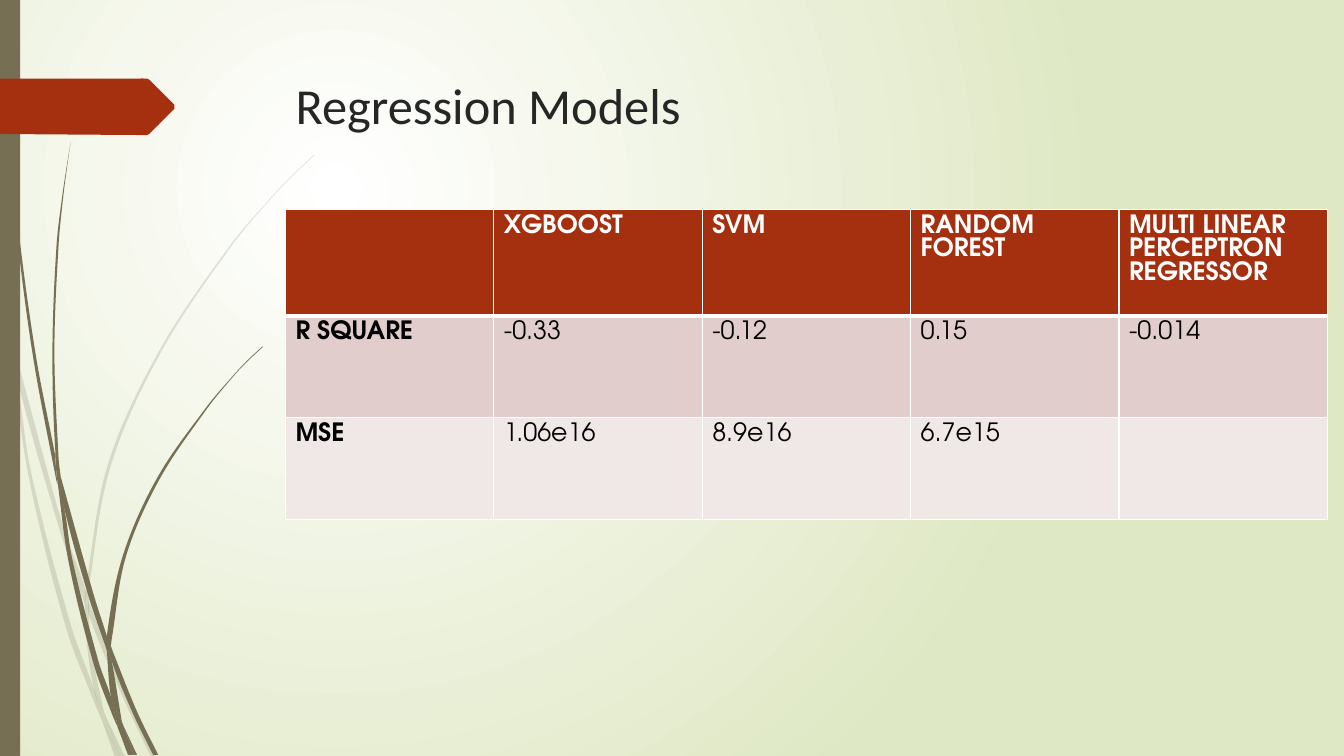
from math import dist
from lxml.etree import SubElement
from pptx import Presentation
from pptx.dml.color import RGBColor
from pptx.enum.shapes import MSO_SHAPE as Preset
from pptx.enum.text import MSO_ANCHOR as Anchor, PP_ALIGN as Align
from pptx.oxml.ns import qn
from pptx.util import Pt

# Content
TITLE = "Regression Models"
ROWS = [
    ("", "XGBOOST", "SVM", "RANDOM FOREST", "MULTI LINEAR PERCEPTRON REGRESSOR"),
    ("R SQUARE", "-0.33", "-0.12", "0.15", "-0.014"),
    ("MSE", "1.06e16", "8.9e16", "6.7e15", ""),
]

# Colours and fonts
WHITE = RGBColor(0xFF, 0xFF, 0xFF)
BLACK = RGBColor(0, 0, 0)
INK = RGBColor(0x26, 0x26, 0x26)
RUST = RGBColor(0xA5, 0x30, 0x10)
OLIVE = RGBColor(0x76, 0x6F, 0x54)
PALE_GREEN = RGBColor(0xDF, 0xE8, 0xC4)
ROW_FILLS = [RUST, RGBColor(0xE1, 0xCD, 0xCC), RGBColor(0xF0, 0xE8, 0xE7)]
TITLE_FONT, TABLE_FONT = "Calibri", "TeX Gyre Adventor"

# Sizes in points
WIDTH, HEIGHT = 960, 540
TABLE_LEFT, TABLE_TOP, COLUMN_WIDTH = 203.9, 149.9, 148.85
ROW_HEIGHTS = [75.6, 72.7, 72.7]
GRID = 0.72  # outline coordinates below count in this unit

# Outlines of the grass pieces
FAINT_GRASS = [
    [(11, 350), (9, 322), (0, 282), (0, 299), (10, 344)],
    [(58, 522), (84, 599), (85, 586), (62, 520), (14, 345), (17, 376)],
    [(92, 607), (88, 596), (88, 610), (123, 694), (150, 751), (155, 751), (127, 692)],
    [(119, 751), (124, 751), (105, 711)],
    [(93, 683), (70, 619), (31, 469), (17, 376), (11, 350), (28, 470), (65, 621), (92, 693),
     (101, 714), (99, 707)],
    [(84, 599), (87, 646), (93, 683), (96, 692), (105, 711), (103, 706), (91, 646), (88, 610),
     (88, 608)],
    [(88, 584), (110, 462), (160, 349), (229, 245), (268, 198), (290, 175), (312, 154),
     (312, 153), (289, 175), (268, 197), (228, 244), (158, 348), (107, 461), (85, 584),
     (85, 586), (88, 596)],
    [(101, 714), (114, 751), (119, 751)],
    [(88, 608), (88, 610), (88, 596), (85, 586), (84, 599)],
    [(96, 692), (93, 683), (99, 707), (101, 714), (119, 751), (105, 711)],
]
DARK_GRASS = [
    [(7, 110), (17, 233), (33, 355), (56, 477), (57, 481), (55, 457), (55, 453), (36, 355),
     (19, 232), (8, 109), (5, 48), (4, 0), (3, 0), (4, 48)],
    [(88, 592), (106, 645), (106, 633), (106, 631), (93, 590), (60, 472), (64, 505)],
    [(113, 649), (110, 641), (111, 656), (132, 708), (152, 749), (157, 749), (136, 706)],
    [(110, 691), (98, 657), (72, 556), (64, 505), (57, 477), (68, 557), (93, 659), (111, 708),
     (117, 722), (116, 717)],
    [(60, 472), (58, 453), (54, 349), (58, 245), (63, 193), (70, 141), (62, 193), (56, 245),
     (52, 349), (55, 449)],
    [(133, 749), (136, 749), (122, 719)],
    [(57, 477), (64, 505), (60, 472), (55, 449), (55, 453)],
    [(111, 633), (125, 552), (158, 476), (205, 406), (231, 374), (245, 359), (261, 344),
     (260, 344), (245, 358), (231, 373), (204, 405), (156, 474), (122, 551), (106, 631),
     (110, 641)],
    [(117, 722), (127, 749), (131, 749)],
    [(106, 645), (110, 691), (116, 706), (122, 719), (121, 716), (111, 656), (109, 651)],
    [(106, 645), (109, 651), (111, 656), (110, 641), (106, 631), (106, 633)],
    [(116, 706), (110, 691), (116, 717), (117, 722), (130, 749), (133, 749), (122, 719)],
]
ARROW_TAB = [(173, 108), (148, 133), (146, 134), (136, 134), (0, 133), (0, 78), (136, 78),
             (146, 78), (148, 79), (173, 104)]


def paint(shape, color, opacity=100):
    shape.shadow.inherit = False
    shape.fill.solid()
    shape.fill.fore_color.rgb = color
    shape.line.fill.background()
    if opacity < 100:
        tint = shape._element.spPr.find(qn("a:solidFill"))[0]
        SubElement(tint, qn("a:alpha"), val=str(opacity * 1000))


def direction(start, end):
    length = dist(start, end)
    return (end[0] - start[0]) / length, (end[1] - start[1]) / length


def handle(before, point, after, chord):
    """Tangent shared by both sides of a gentle bend; the chord's own at a corner."""
    one, two = direction(before, point), direction(point, after)
    gentle = one[0] * two[0] + one[1] * two[1] > 0.8
    return direction(before, after) if gentle else chord


def add_outline(grid_points, color, opacity=100):
    """Closed freeform whose segments bend smoothly between corners."""
    points = [(Pt(x * GRID), Pt(y * GRID)) for x, y in grid_points]
    builder = page.shapes.build_freeform(*points[0])
    builder.add_line_segments(points[1:] + points[:1], close=True)
    shape = builder.convert_to_shape()
    count = len(points)
    for i, segment in enumerate(list(shape._element.iter(qn("a:lnTo")))[:count]):
        before, start, end, after = (points[(i + k) % count] for k in (-1, 0, 1, 2))
        chord, reach = direction(start, end), dist(start, end) / 3
        leave, arrive = handle(before, start, end, chord), handle(start, end, after, chord)
        controls = [[p + reach * d for p, d in zip(start, leave)],
                    [p - reach * d for p, d in zip(end, arrive)]]
        segment.tag = qn("a:cubicBezTo")
        for index, (x, y) in enumerate(controls):
            control = SubElement(segment, qn("a:pt"), x=str(round(x - shape.left)),
                                 y=str(round(y - shape.top)))
            segment.insert(index, control)
    paint(shape, color, opacity)


def add_borders(cell, widths):
    properties = cell._tc.get_or_add_tcPr()
    for index, (side, width) in enumerate(widths.items()):
        line = SubElement(properties, qn(f"a:ln{side}"), w=str(Pt(width)))
        fill = SubElement(line, qn("a:solidFill"))
        SubElement(fill, qn("a:srgbClr"), val=str(WHITE))
        properties.insert(index, line)


def style(para, font, size, color, bold=False):
    para.alignment = Align.LEFT
    para.font.name, para.font.size = font, Pt(size)
    para.font.color.rgb, para.font.bold = color, bold


deck = Presentation()
deck.slide_width, deck.slide_height = Pt(WIDTH), Pt(HEIGHT)
page = deck.slides.add_slide(deck.slide_layouts[5])

# Background: circular gradient
backdrop = page.background.fill
backdrop.gradient()
for stop, color, position in zip(backdrop.gradient_stops, (WHITE, PALE_GREEN), (0, 1)):
    stop.color.rgb, stop.position = color, position
gradient = next(page._element.iter(qn("a:gradFill")))
gradient.remove(gradient.find(qn("a:lin")))
circle = SubElement(gradient, qn("a:path"), path="circle")
SubElement(circle, qn("a:fillToRect"), l="50000", t="50000", r="100000", b="100000")

# Grass, side bar and arrow tab
for opacity, pieces in ((20, FAINT_GRASS), (100, DARK_GRASS)):
    for piece in pieces:
        add_outline(piece, OLIVE, opacity)
bar = page.shapes.add_shape(Preset.RECTANGLE, 0, 0, Pt(14.4), Pt(HEIGHT))
paint(bar, OLIVE)
add_outline(ARROW_TAB, RUST)

# Title
title = page.shapes.title
title.left, title.top, title.width, title.height = Pt(204), Pt(49), Pt(702), Pt(100.8)
title.text_frame.text = TITLE
title.text_frame.word_wrap = True
title.text_frame.vertical_anchor = Anchor.TOP
style(title.text_frame.paragraphs[0], TITLE_FONT, 36, INK)

# Table
columns = len(ROWS[0])
table = page.shapes.add_table(len(ROWS), columns, Pt(TABLE_LEFT), Pt(TABLE_TOP),
                              Pt(COLUMN_WIDTH * columns), Pt(sum(ROW_HEIGHTS))).table
for column in table.columns:
    column.width = Pt(COLUMN_WIDTH)
for r, (texts, height, fill) in enumerate(zip(ROWS, ROW_HEIGHTS, ROW_FILLS)):
    table.rows[r].height = Pt(height)
    for c, text in enumerate(texts):
        cell = table.cell(r, c)
        cell.text = text
        cell.fill.solid()
        cell.fill.fore_color.rgb = fill
        add_borders(cell, {"L": 1, "R": 1, "T": 3 if r == 1 else 1, "B": 3 if r == 0 else 1})
        style(cell.text_frame.paragraphs[0], TABLE_FONT, 18,
              WHITE if r == 0 else BLACK, bold=r == 0 or c == 0)

deck.save("out.pptx")
